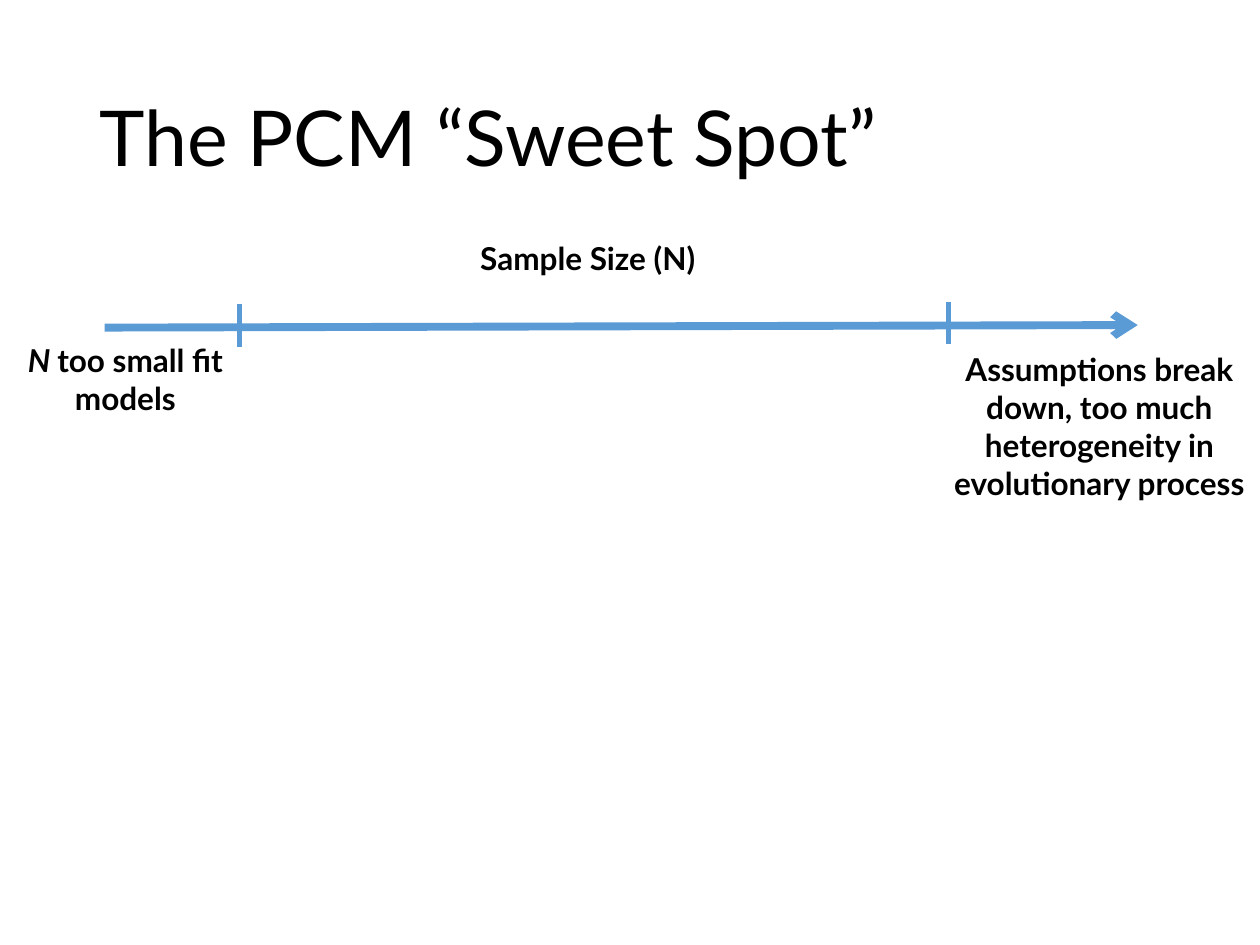
"""Build the sample-size sweet spot slide."""
from lxml import etree
from pptx import Presentation
from pptx.dml.color import RGBColor
from pptx.enum import shapes, text
from pptx.oxml import ns
from pptx.util import Inches, Pt

FONT = "Lato"
COLORS = {"ink": "000000", "axis": "5B9BD5"}
TITLE = ("The PCM “Sweet Spot”", (0.69, 0.4, 8.62, 1.45))
LABELS = [
    ([("Sample Size (N)", False)], (1.21, 1.85, 6.91, 0.4)),
    ([("N ", True), ("too small fit models", False)], (0.07, 2.66, 1.85, 0.71)),
    ([("Assumptions break down, too much heterogeneity in evolutionary process", False)],
     (7.47, 2.73, 2.51, 1.61)),
]
AXIS = (0.83, 2.6, 9.03, 2.58)
TICKS = [(1.9, 2.41, 1.9, 2.75), (7.53, 2.4, 7.53, 2.73)]


def style_font(font, size, bold=False):
    font.name, font.size, font.bold = FONT, Pt(size), bold
    font.color.rgb = RGBColor.from_string(COLORS["ink"])


def add_title(page):
    wording, area = TITLE
    box = page.shapes.title
    box.left, box.top, box.width, box.height = map(Inches, area)
    frame = box.text_frame
    frame.text = wording
    frame.vertical_anchor = text.MSO_ANCHOR.MIDDLE
    para = frame.paragraphs[0]
    para.alignment = text.PP_ALIGN.LEFT
    para.line_spacing = 0.9
    style_font(para.font, 44)


def add_label(page, spans, area):
    frame = page.shapes.add_textbox(*map(Inches, area)).text_frame
    frame.word_wrap = True
    frame.auto_size = text.MSO_AUTO_SIZE.SHAPE_TO_FIT_TEXT
    para = frame.paragraphs[0]
    para.alignment = text.PP_ALIGN.CENTER
    style_font(para.font, 18, bold=True)
    for wording, italic in spans:
        span = para.add_run()
        span.text = wording
        span.font.italic = italic


def add_line(page, ends, width, arrow=False):
    connector = page.shapes.add_connector(shapes.MSO_CONNECTOR.STRAIGHT, *map(Inches, ends))
    connector.line.color.rgb = RGBColor.from_string(COLORS["axis"])
    connector.line.width = Pt(width)
    if arrow:
        etree.SubElement(connector.line._get_or_add_ln(), ns.qn("a:tailEnd"), type="arrow")
    etree.SubElement(connector._element.spPr, ns.qn("a:effectLst"))


def main():
    deck = Presentation()
    deck.slide_width, deck.slide_height = Inches(10), Inches(7.5)
    page = deck.slides.add_slide(deck.slide_layouts[5])
    add_title(page)
    add_line(page, AXIS, 4.5, arrow=True)
    for spans, area in LABELS:
        add_label(page, spans, area)
    for ends in TICKS:
        add_line(page, ends, 3)
    deck.save("out.pptx")


if __name__ == "__main__":
    main()
